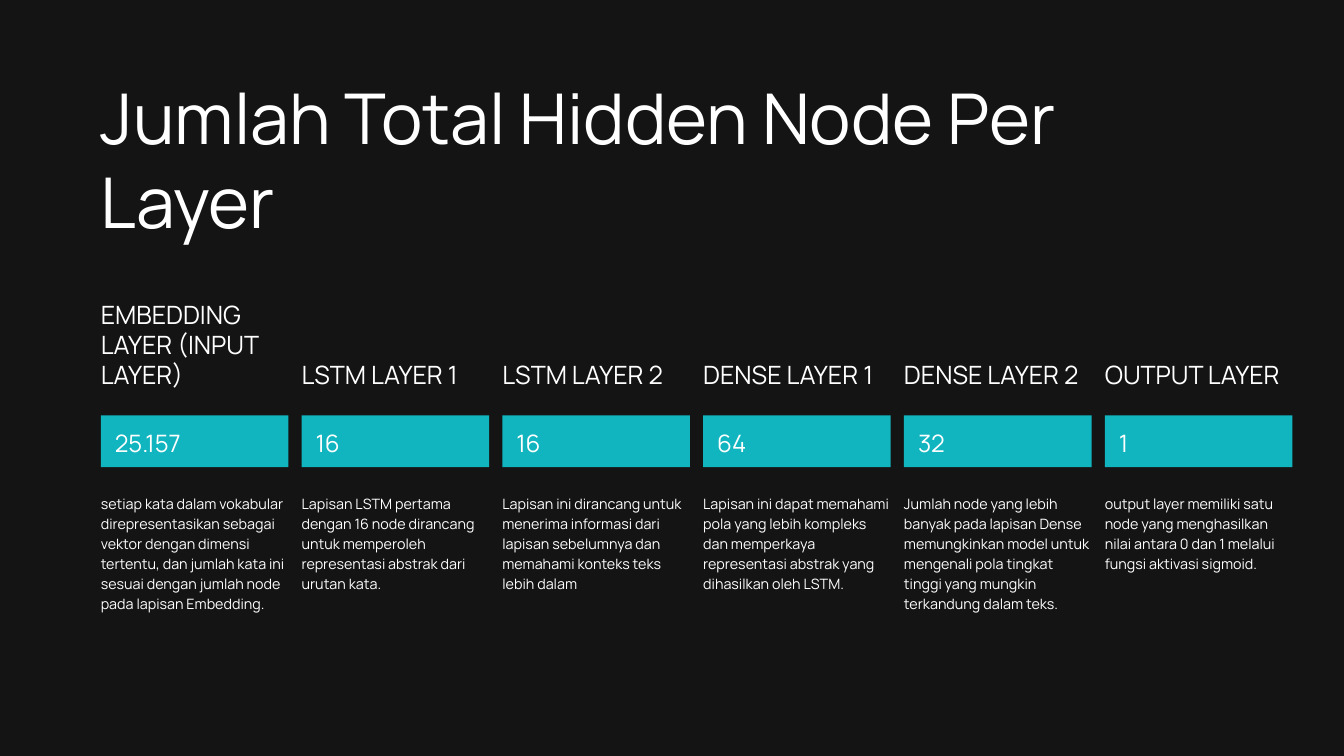
from dataclasses import dataclass

from pptx import Presentation
from pptx.dml.color import RGBColor
from pptx.enum.shapes import MSO_SHAPE
from pptx.enum.text import MSO_AUTO_SIZE
from pptx.util import Cm, Pt

RECT = MSO_SHAPE.RECTANGLE
GROW = MSO_AUTO_SIZE.SHAPE_TO_FIT_TEXT


@dataclass(frozen=True)
class Theme:
    font: str = "Manrope"
    background: RGBColor = RGBColor(0x14, 0x14, 0x14)
    text: RGBColor = RGBColor(0xFF, 0xFF, 0xFF)
    bar: RGBColor = RGBColor(0x10, 0xB5, 0xBF)
    # Each style is (type size, line spacing) in points
    title: tuple = (75, 90)
    heading: tuple = (27, 32.4)
    value: tuple = (25.7, 35.9)
    body: tuple = (15.3, 21.5)


theme = Theme()


def add_text(shapes, text, *, left, top, width, height, style):
    size, spacing = style
    tf = shapes.add_textbox(Cm(left), Cm(top), Cm(width), Cm(height)).text_frame
    tf.margin_left = tf.margin_right = tf.margin_top = tf.margin_bottom = 0
    tf.word_wrap = True
    tf.auto_size = GROW
    p = tf.paragraphs[0]
    p.line_spacing = Pt(spacing)
    r = p.add_run()
    r.text = text
    r.font.name = theme.font
    r.font.size = Pt(size)
    r.font.color.rgb = theme.text


prs = Presentation()
prs.slide_width, prs.slide_height = Cm(50.8), Cm(28.58)
slide = prs.slides.add_slide(prs.slide_layouts[6])
slide.background.fill.solid()
slide.background.fill.fore_color.rgb = theme.background

# Title
LEFT = 3.81
add_text(slide.shapes, "Jumlah Total Hidden Node Per Layer",
         left=LEFT, top=2.82, width=43.15, height=6.38, style=theme.title)

# Layers: heading, heading rows, node count, description, description rows
layers = [
    ("EMBEDDING LAYER (INPUT LAYER)", 3, "25.157",
     "setiap kata dalam vokabular direpresentasikan sebagai vektor dengan dimensi "
     "tertentu, dan jumlah kata ini sesuai dengan jumlah node pada lapisan Embedding.", 8),
    ("LSTM LAYER 1", 1, "16",
     "Lapisan LSTM pertama dengan 16 node dirancang untuk memperoleh "
     "representasi abstrak dari urutan kata.", 5),
    ("LSTM LAYER 2", 1, "16",
     "Lapisan ini dirancang untuk menerima informasi dari lapisan sebelumnya "
     "dan memahami konteks teks lebih dalam", 5),
    ("DENSE LAYER 1", 1, "64",
     "Lapisan ini dapat memahami pola yang lebih kompleks dan memperkaya "
     "representasi abstrak yang dihasilkan oleh LSTM.", 6),
    ("DENSE LAYER 2", 1, "32",
     "Jumlah node yang lebih banyak pada lapisan Dense memungkinkan model untuk "
     "mengenali pola tingkat tinggi yang mungkin terkandung dalam teks.", 7),
    ("OUTPUT LAYER", 1, "1",
     "output layer memiliki satu node yang menghasilkan nilai antara 0 dan 1 "
     "melalui fungsi aktivasi sigmoid.", 5),
]
PITCH, WIDTH, INSET = 7.59, 7.09, 0.53
HEADING_BOTTOM, HEADING_ROW = 14.7, 1.13
BAR_TOP, BAR_HEIGHT = 15.7, 1.96
BODY_TOP, BODY_ROW = 18.62, 0.73

for i, (heading, heading_rows, nodes, body, body_rows) in enumerate(layers):
    x = LEFT + i * PITCH
    shapes = slide.shapes.add_group_shape().shapes

    # Heading, standing on a common bottom line
    height = heading_rows * HEADING_ROW
    add_text(shapes, heading, left=x, top=HEADING_BOTTOM - height,
             width=WIDTH, height=height, style=theme.heading)

    # Bar with the node count
    sp = shapes.add_shape(RECT, Cm(x), Cm(BAR_TOP), Cm(WIDTH), Cm(BAR_HEIGHT))
    sp.shadow.inherit = False
    sp.fill.solid()
    sp.fill.fore_color.rgb = theme.bar
    sp.line.fill.background()
    add_text(shapes, nodes, left=x + INSET, top=BAR_TOP + 0.33,
             width=WIDTH - 2 * INSET, height=1.17, style=theme.value)

    # Description
    add_text(shapes, body, left=x, top=BODY_TOP,
             width=WIDTH, height=body_rows * BODY_ROW, style=theme.body)

prs.save("out.pptx")
